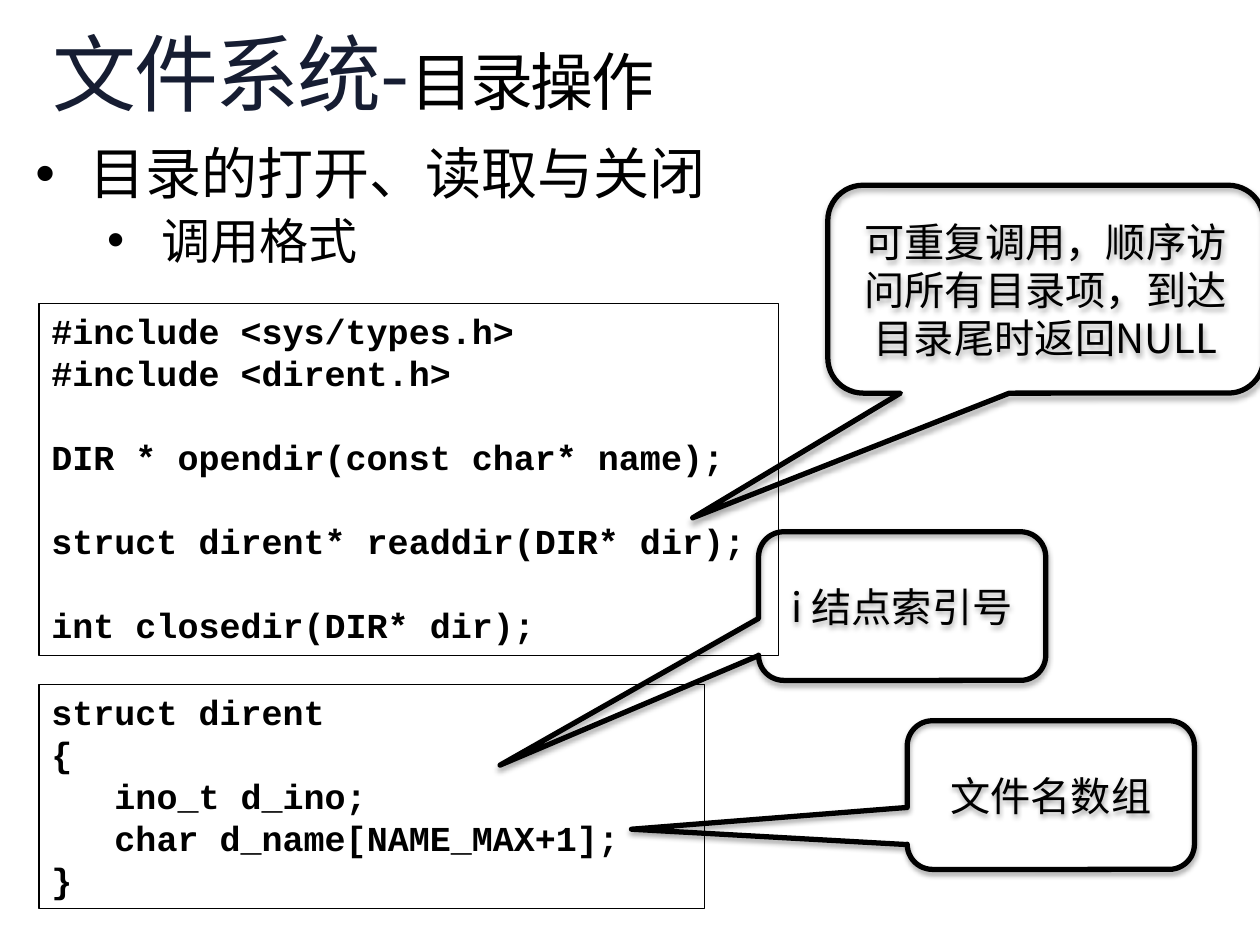
from lxml.etree import SubElement
from pptx import Presentation
from pptx.dml.color import RGBColor
from pptx.enum.shapes import MSO_SHAPE
from pptx.enum.text import MSO_ANCHOR, PP_ALIGN
from pptx.oxml.ns import qn
from pptx.util import Inches, Pt

COLORS = {"title": "161D32", "ink": "000000"}
SANS, MONO = "Noto Sans CJK SC", "Courier New"

DIR_CALLS = """#include <sys/types.h>
#include <dirent.h>

DIR * opendir(const char* name);

struct dirent* readdir(DIR* dir);

int closedir(DIR* dir);"""

DIRENT_STRUCT = """struct dirent
{
   ino_t d_ino;
   char d_name[NAME_MAX+1];
}"""

BULLETS = [("目录的打开、读取与关闭", 32, 0.43), ("调用格式", 28, 1)]
HANGING = 0.43

CALLOUTS = [
    ((6.57, 1.47, 3.46, 1.65), (-0.81, 1.1), "可重复调用，顺序访问所有目录项，到达目录尾时返回NULL"),
    ((6.02, 4.22, 2.28, 1.18), (-1.4, 1.07), "i 结点索引号"),
    ((7.2, 5.72, 2.28, 1.18), (-1.46, 0.23), "文件名数组"),
]


def rgb(name):
    return RGBColor.from_string(COLORS[name])


def apply(target, **values):
    for name, value in values.items():
        setattr(target, name, value)


def add_run(p, text, size, font=SANS, color="ink", bold=False):
    r = p.add_run()
    r.text = text
    apply(r.font, size=Pt(size), name=font, bold=bold)
    r.font.color.rgb = rgb(color)
    SubElement(r.font._element, qn("a:ea"), typeface=font)
    return r


def add_text_area(s, box):
    tf = s.shapes.add_textbox(*map(Inches, box)).text_frame
    apply(tf, word_wrap=True, margin_left=0, margin_right=0,
          margin_top=0, margin_bottom=0)
    return tf


def add_outline(s, kind, box, width):
    sp = s.shapes.add_shape(kind, *map(Inches, box))
    sp.shadow.inherit = False
    sp.fill.background()
    sp.line.color.rgb = rgb("ink")
    sp.line.width = Pt(width)
    sp.text_frame.word_wrap = True
    return sp


def add_title(s):
    p = add_text_area(s, (0.42, 0.25, 9.17, 0.82)).paragraphs[0]
    p.line_spacing = Pt(52)
    for text, size, color in (("文件系统-", 48, "title"), ("目录操作", 36, "ink")):
        r = add_run(p, text, size, color=color)
        r.font._element.set("spc", "-150")


def add_bullets(s):
    tf = add_text_area(s, (0.28, 1.15, 9.61, 3.59))
    for level, (text, size, left) in enumerate(BULLETS):
        p = tf.add_paragraph() if level else tf.paragraphs[0]
        apply(p, level=level, line_spacing=Pt(round(size * 1.08)))
        if level:
            p.space_before = Pt(6)
        pPr = p._p.get_or_add_pPr()
        pPr.set("marL", str(Inches(left)))
        pPr.set("indent", str(-Inches(HANGING)))
        SubElement(pPr, qn("a:buFont"), typeface="Arial")
        SubElement(pPr, qn("a:buChar"), char="•")
        add_run(p, text, size)


def add_code(s, box, code):
    """Framed listing; an empty line becomes space before the next one."""
    tf = add_outline(s, MSO_SHAPE.RECTANGLE, box, 0.75).text_frame
    tf.vertical_anchor = MSO_ANCHOR.TOP
    pitch = Pt(24)
    for i, block in enumerate(code.split("\n\n")):
        for j, line in enumerate(block.split("\n")):
            p = tf.add_paragraph() if i or j else tf.paragraphs[0]
            apply(p, alignment=PP_ALIGN.LEFT, line_spacing=pitch)
            if i and not j:
                p.space_before = pitch
            add_run(p, line, 20, MONO, bold=True)


def add_soft_shadow(sp):
    effects = sp._element.spPr.find(qn("a:effectLst"))
    shadow = SubElement(effects, qn("a:outerShdw"), blurRad=str(Pt(3.1)),
                        dist=str(Pt(1.8)), dir="5400000", rotWithShape="0")
    color = SubElement(shadow, qn("a:srgbClr"), val=COLORS["ink"])
    SubElement(color, qn("a:alpha"), val="35000")


def add_callout(s, box, tip, text):
    sp = add_outline(s, MSO_SHAPE.ROUNDED_RECTANGULAR_CALLOUT, box, 3)
    for i, value in enumerate((*tip, 0.17)):
        sp.adjustments[i] = value
    add_soft_shadow(sp)
    tf = sp.text_frame
    tf.vertical_anchor = MSO_ANCHOR.MIDDLE
    p = tf.paragraphs[0]
    apply(p, alignment=PP_ALIGN.CENTER, line_spacing=Pt(27.5))
    add_run(p, text, 23)


def main():
    prs = Presentation()
    apply(prs, slide_width=Inches(10), slide_height=Inches(7.5))
    s = prs.slides.add_slide(prs.slide_layouts[6])
    add_title(s)
    add_bullets(s)
    add_code(s, (0.31, 2.41, 5.87, 2.79), DIR_CALLS)
    add_code(s, (0.31, 5.43, 5.28, 1.78), DIRENT_STRUCT)
    for box, tip, text in CALLOUTS:
        add_callout(s, box, tip, text)
    prs.save("out.pptx")


if __name__ == "__main__":
    main()
